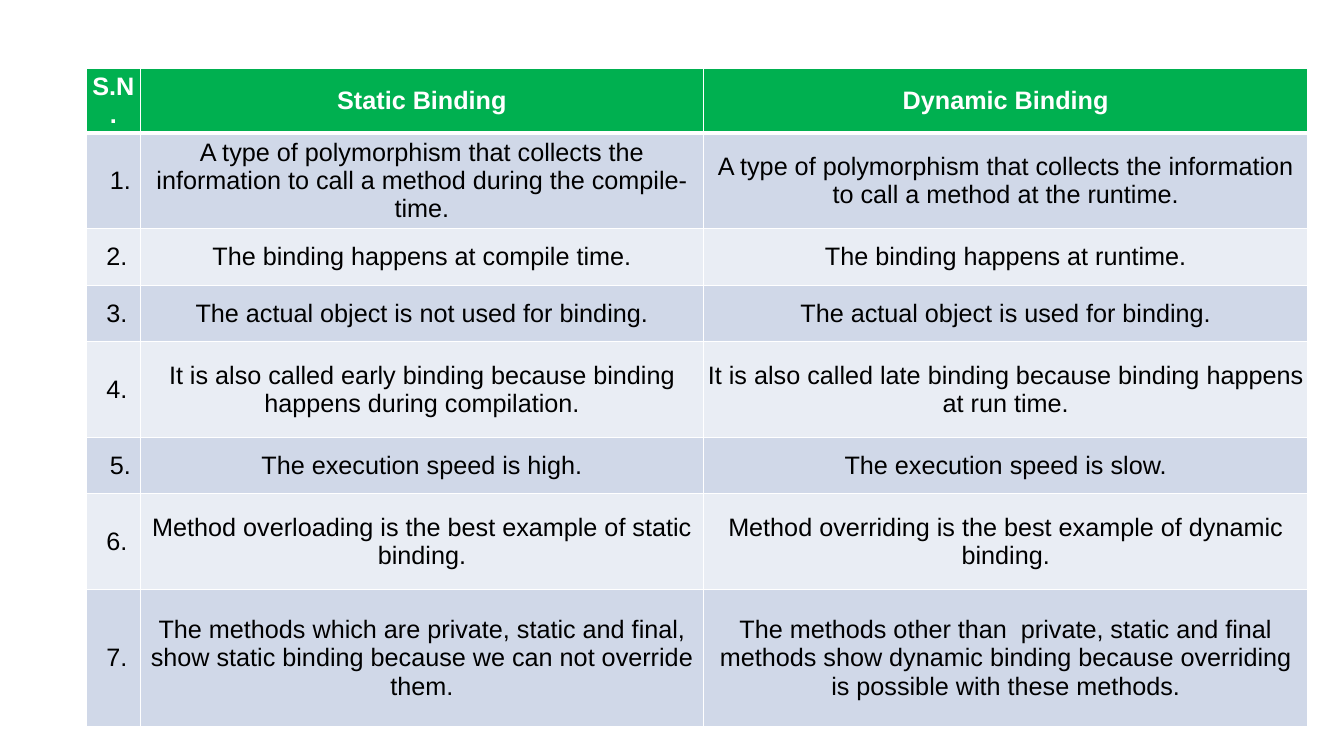
from dataclasses import dataclass

from lxml import etree
from pptx import Presentation
from pptx.dml.color import RGBColor
from pptx.enum import text
from pptx.oxml import ns
from pptx.util import Inches, Pt


@dataclass(frozen=True)
class Theme:
    font: str = "Arial"
    size: int = 18
    header: str = "00B050"
    bands: tuple = ("D0D8E8", "E9EDF4")
    light: str = "FFFFFF"
    dark: str = "000000"
    rule: int = 1
    header_rule: int = 3
    inset: float = 0.04


THEME = Theme()
COLUMN_WIDTHS = (0.53, 5.59, 5.99)
ROW_HEIGHTS = (0.56, 0.95, 0.56, 0.56, 0.95, 0.56, 0.95, 1.36)
HEADINGS = ("S.N.", "Static Binding", "Dynamic Binding")
COMPARISONS = (
    ("A type of polymorphism that collects the information to call a method during the compile-time.",
     "A type of polymorphism that collects the information to call a method at the runtime."),
    ("The binding happens at compile time.",
     "The binding happens at runtime."),
    ("The actual object is not used for binding.",
     "The actual object is used for binding."),
    ("It is also called early binding because binding happens during compilation.",
     "It is also called late binding because binding happens at run time."),
    ("The execution speed is high.",
     "The execution speed is slow."),
    ("Method overloading is the best example of static binding.",
     "Method overriding is the best example of dynamic binding."),
    ("The methods which are private, static and final, show static binding because we can not override them.",
     "The methods other than  private, static and final methods show dynamic binding "
     "because overriding is possible with these methods."),
)
NUMBER_LEFT_INSET = 0.18
NUMBER_RIGHT_INSET = 0.11
FLUSH_NUMBERS = (1, 5)  # these numbers sit closer to the column's right edge


def add_borders(cell, bottom):
    properties = cell._tc.get_or_add_tcPr()
    widths = {"L": THEME.rule, "R": THEME.rule, "T": THEME.rule, "B": bottom}
    for side, width in widths.items():
        line = etree.SubElement(properties, ns.qn(f"a:ln{side}"), w=str(Pt(width)))
        fill = etree.SubElement(line, ns.qn("a:solidFill"))
        etree.SubElement(fill, ns.qn("a:srgbClr"), val=THEME.light)


def fill_cell(cell, wording, background, heading=False):
    add_borders(cell, THEME.header_rule if heading else THEME.rule)
    cell.fill.solid()
    cell.fill.fore_color.rgb = RGBColor.from_string(background)
    cell.vertical_anchor = text.MSO_ANCHOR.MIDDLE
    cell.margin_left = cell.margin_right = Inches(THEME.inset)
    cell.margin_top = cell.margin_bottom = Inches(THEME.inset)
    cell.text = wording
    paragraph = cell.text_frame.paragraphs[0]
    paragraph.alignment = text.PP_ALIGN.CENTER
    font = paragraph.font
    font.name, font.size, font.bold = THEME.font, Pt(THEME.size), heading
    font.color.rgb = RGBColor.from_string(THEME.light if heading else THEME.dark)


def indent_number(cell, number):
    cell.margin_left = Inches(NUMBER_LEFT_INSET)
    if number not in FLUSH_NUMBERS:
        cell.margin_right = Inches(NUMBER_RIGHT_INSET)


def add_binding_table(slide):
    table = slide.shapes.add_table(
        len(ROW_HEIGHTS), len(COLUMN_WIDTHS),
        Inches(0.86), Inches(0.68),
        Inches(sum(COLUMN_WIDTHS)), Inches(sum(ROW_HEIGHTS))).table
    for column, width in zip(table.columns, COLUMN_WIDTHS):
        column.width = Inches(width)
    for row, height in zip(table.rows, ROW_HEIGHTS):
        row.height = Inches(height)

    for column, heading in enumerate(HEADINGS):
        fill_cell(table.cell(0, column), heading, THEME.header, heading=True)
    for number, comparison in enumerate(COMPARISONS, start=1):
        band = THEME.bands[(number - 1) % 2]
        for column, wording in enumerate((f"{number}.", *comparison)):
            fill_cell(table.cell(number, column), wording, band)
        indent_number(table.cell(number, 0), number)


def main():
    presentation = Presentation()
    presentation.slide_width = Inches(13.33)
    presentation.slide_height = Inches(7.5)
    slide = presentation.slides.add_slide(presentation.slide_layouts[6])
    add_binding_table(slide)
    presentation.save("out.pptx")


if __name__ == "__main__":
    main()
